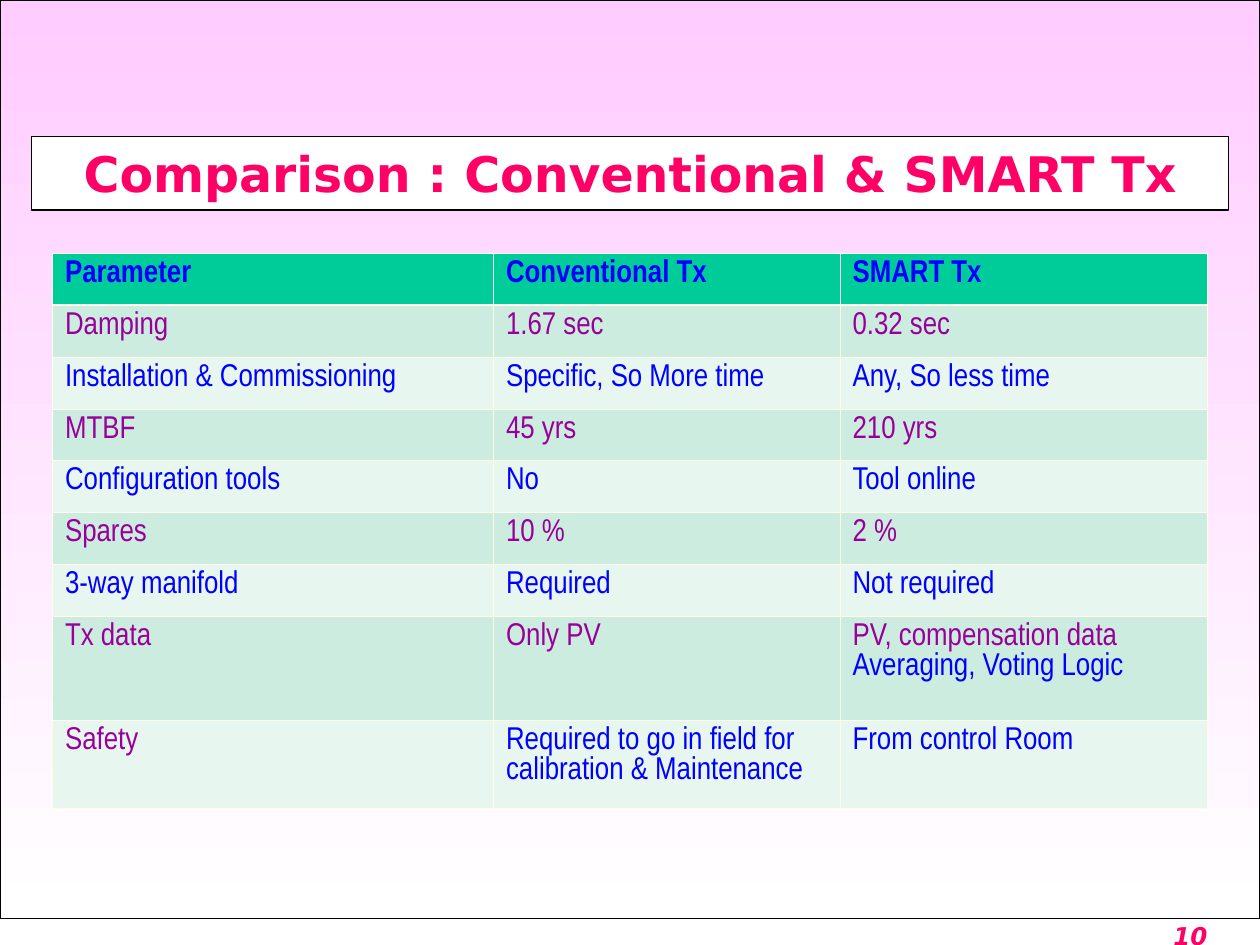
import dataclasses

import lxml.etree
import pptx
import pptx.dml.color
import pptx.enum.shapes
import pptx.enum.text
import pptx.oxml.ns
import pptx.util

Pt = pptx.util.Pt


@dataclasses.dataclass(frozen=True)
class Theme:
    title_font: str = "DejaVu Sans"
    table_font: str = "Arial Narrow"
    title_size: float = 28
    table_size: float = 18
    number_size: float = 14
    accent: str = "FF0066"
    outline: str = "000000"
    paper: str = "FFFFFF"
    backdrop_top: str = "FFCCFF"
    header: str = "00CC99"
    bands: tuple = ("CBECDE", "E7F6EF")
    grid: str = "FFFBEB"
    blue: str = "0000FF"
    purple: str = "990099"
    outline_width: float = 0.75
    grid_width: float = 0.45
    header_rule: float = 1.5


THEME = Theme()

COLUMN_WIDTHS = (252, 198, 210)
ROW_HEIGHTS = (29.7,) * 7 + (59.4, 50.4)
HEADINGS = ("Parameter", "Conventional Tx", "SMART Tx")
COMPARISON = (
    ("Damping", "1.67 sec", "0.32 sec"),
    ("Installation & Commissioning", "Specific, So More time", "Any, So less time"),
    ("MTBF", "45 yrs", "210 yrs"),
    ("Configuration tools", "No", "Tool online"),
    ("Spares", "10 %", "2 %"),
    ("3-way manifold", "Required", "Not required"),
    ("Tx data", "Only PV", "PV, compensation data\nAveraging, Voting Logic"),
    ("Safety", "Required to go in field for calibration & Maintenance", "From control Room"),
)


def rgb(value):
    return pptx.dml.color.RGBColor.from_string(value)


def style_paragraph(paragraph, font, size, color, bold=False, italic=False):
    paragraph.font.name = font
    paragraph.font.size = Pt(size)
    paragraph.font.color.rgb = rgb(color)
    paragraph.font.bold = bold
    paragraph.font.italic = italic


def outline(shape):
    shape.line.color.rgb = rgb(THEME.outline)
    shape.line.width = Pt(THEME.outline_width)


def add_backdrop(slide):
    backdrop = slide.shapes.add_shape(
        pptx.enum.shapes.MSO_SHAPE.RECTANGLE, 0, 0, Pt(720), Pt(525))
    backdrop.shadow.inherit = False
    backdrop.fill.gradient()
    backdrop.fill.gradient_angle = 270
    for stop, color in zip(backdrop.fill.gradient_stops, (THEME.backdrop_top, THEME.paper)):
        stop.color.rgb = rgb(color)
    outline(backdrop)
    slide.shapes._spTree.insert(2, backdrop._element)


def set_title(slide, text):
    title = slide.shapes.title
    title.left, title.top, title.width, title.height = Pt(18), Pt(78), Pt(684), Pt(42)
    title.fill.solid()
    title.fill.fore_color.rgb = rgb(THEME.paper)
    outline(title)
    frame = title.text_frame
    frame.text = text
    frame.word_wrap = True
    frame.auto_size = pptx.enum.text.MSO_AUTO_SIZE.NONE
    frame.vertical_anchor = pptx.enum.text.MSO_ANCHOR.MIDDLE
    paragraph = frame.paragraphs[0]
    paragraph.alignment = pptx.enum.text.PP_ALIGN.CENTER
    style_paragraph(paragraph, THEME.title_font, THEME.title_size, THEME.accent, bold=True)


def add_page_number(slide, number):
    page_number = slide.shapes.add_textbox(Pt(657.5), Pt(518.5), Pt(86), Pt(29))
    frame = page_number.text_frame
    frame.word_wrap = True
    frame.margin_left = Pt(13)
    frame.margin_top = Pt(8)
    frame.text = number
    style_paragraph(frame.paragraphs[0], THEME.title_font, THEME.number_size,
                    THEME.accent, bold=True, italic=True)


def set_borders(cell, widths):
    properties = cell._tc.get_or_add_tcPr()
    for index, (side, width) in enumerate(widths.items()):
        border = lxml.etree.Element(pptx.oxml.ns.qn("a:ln" + side), w=str(Pt(width)))
        fill = lxml.etree.SubElement(border, pptx.oxml.ns.qn("a:solidFill"))
        lxml.etree.SubElement(fill, pptx.oxml.ns.qn("a:srgbClr"), val=THEME.grid)
        properties.insert(index, border)


def fill_cell(cell, text, fill, colors, bold):
    cell.fill.solid()
    cell.fill.fore_color.rgb = rgb(fill)
    cell.text = text
    for paragraph, color in zip(cell.text_frame.paragraphs, colors):
        style_paragraph(paragraph, THEME.table_font, THEME.table_size, color, bold=bold)


def row_colors(row, column):
    is_safety_label = row == len(COMPARISON) and column == 0
    first = THEME.purple if row % 2 or is_safety_label else THEME.blue
    return first, THEME.blue


def add_comparison(slide):
    rows = (HEADINGS,) + COMPARISON
    comparison = slide.shapes.add_table(
        len(rows), len(HEADINGS), Pt(30), Pt(144.6),
        Pt(sum(COLUMN_WIDTHS)), Pt(sum(ROW_HEIGHTS))).table
    for column, width in zip(comparison.columns, COLUMN_WIDTHS):
        column.width = Pt(width)
    for row, height in zip(comparison.rows, ROW_HEIGHTS):
        row.height = Pt(height)
    for r, texts in enumerate(rows):
        fill = THEME.bands[(r - 1) % 2] if r else THEME.header
        borders = dict.fromkeys("LRTB", THEME.grid_width)
        if r < 2:
            borders["T" if r else "B"] = THEME.header_rule
        for c, text in enumerate(texts):
            cell = comparison.cell(r, c)
            fill_cell(cell, text, fill, row_colors(r, c), bold=r == 0)
            set_borders(cell, borders)


def main():
    presentation = pptx.Presentation()
    presentation.slide_width = Pt(720)
    presentation.slide_height = Pt(540)
    slide = presentation.slides.add_slide(presentation.slide_layouts.get_by_name("Title Only"))
    add_backdrop(slide)
    add_page_number(slide, "10")
    set_title(slide, "Comparison : Conventional & SMART Tx")
    add_comparison(slide)
    presentation.save("out.pptx")


main()
